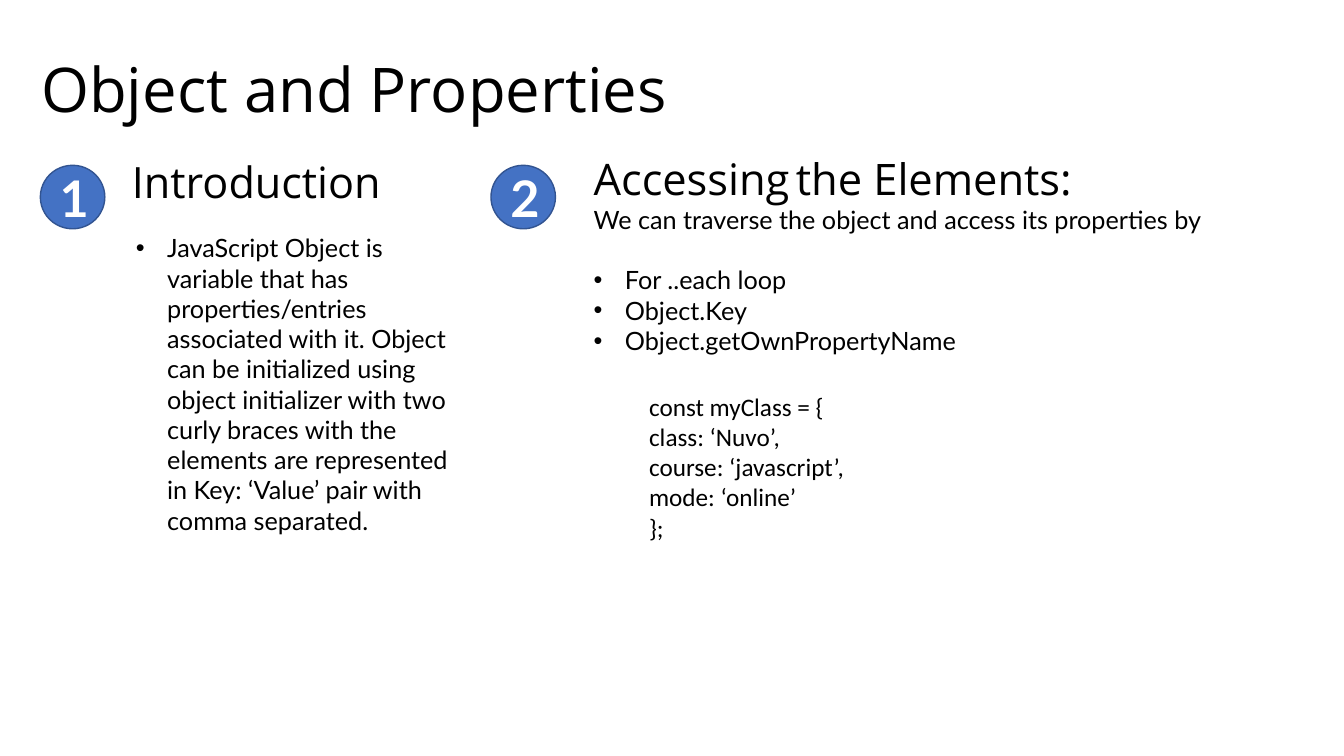
from pptx import Presentation
from pptx import util as u
from pptx.dml import color as col
from pptx.enum import shapes, text as t

HUES = {"ink": "000000", "disc": "4472C4", "rim": "325491", "pale": "FFFFFF"}
HEAD, BODY, CODE = "Open Sans", "Lato", "Calibri"
WIDE, HIGH = u.Inches(13.33), u.Inches(7.5)


def hue(name):
    """Return the named colour."""
    return col.RGBColor.from_string(HUES[name])


def place(box, x, y, w, h):
    """Turn hundredths of the slide, offset from a box, into lengths."""
    return [int(n * side / 100) for n, side in
            ((box[0] + x, WIDE), (box[1] + y, HIGH), (w, WIDE), (h, HIGH))]


def add_run(par, words, font, size, tint="ink", bold=False):
    """Add one styled run to a paragraph."""
    run = par.add_run()
    run.text = words
    run.font.name, run.font.size, run.font.bold = font, u.Pt(size), bold
    run.font.color.rgb = hue(tint)


def add_dot(par):
    """Give a paragraph a hanging round bullet."""
    props = par._p.get_or_add_pPr()
    props.set("marL", str(u.Inches(0.31)))
    props.set("indent", str(-u.Inches(0.31)))
    props.makeelement
    font = props.makeelement(TAG + "buFont", {"typeface": "Arial"})
    mark = props.makeelement(TAG + "buChar", {"char": "•"})
    props.extend([font, mark])


TAG = "{http://schemas.openxmlformats.org/drawingml/2006/main}"


def add_text(slide, spot, lines, mid=False, lead=None):
    """Add a text box of (runs, dotted, space before) lines."""
    frame = slide.shapes.add_textbox(*spot).text_frame
    frame.word_wrap = True
    frame.vertical_anchor = t.MSO_ANCHOR.MIDDLE if mid else t.MSO_ANCHOR.TOP
    for i, (runs, dotted, gap) in enumerate(lines):
        par = frame.add_paragraph() if i else frame.paragraphs[0]
        if lead:
            par.line_spacing = lead
        if gap:
            par.space_before = u.Pt(gap)
        if dotted:
            add_dot(par)
        for run in runs:
            add_run(par, *run)


def add_badge(slide, box, digit):
    """Draw the numbered disc at the corner of a box."""
    disc = slide.shapes.add_shape(shapes.MSO_SHAPE.OVAL, *place(box, 0, 0, 4.8, 8.4))
    disc.shadow.inherit = False
    disc.fill.solid()
    disc.fill.fore_color.rgb = hue("disc")
    disc.line.color.rgb = hue("rim")
    disc.line.width = u.Pt(1)
    frame = disc.text_frame
    frame.vertical_anchor = t.MSO_ANCHOR.MIDDLE
    frame.paragraphs[0].alignment = t.PP_ALIGN.CENTER
    add_run(frame.paragraphs[0], digit, BODY, 36, "pale", True)


def add_title(slide, box):
    """Write the slide title."""
    line = [("Object and Properties", HEAD, 44)]
    add_text(slide, place(box, 0, 0, 86.25, 19.33), [(line, False, 0)], True, 0.9)


def add_intro(slide, box):
    """Build the first section: badge, heading and bullet."""
    add_badge(slide, box, "1")
    head = [("Introduction", HEAD, 30.8)]
    add_text(slide, place(box, 6.08, -0.27, 25.88, 6.53), [(head, False, 0)], True, 0.7)
    note = ("JavaScript Object is variable that has properties/entries associated "
            "with it. Object can be initialized using object initializer with two "
            "curly braces with the elements are represented in Key: ‘Value’ pair "
            "with comma separated.")
    add_text(slide, place(box, 6.38, 8.26, 25.5, 41.73),
             [([(note, BODY, 18)], True, 0)])


def add_access(slide, box):
    """Build the second section: badge, ways of access and code."""
    add_badge(slide, box, "2")
    head = [("Accessing", HEAD, 31), (" ", BODY, 18), ("the Elements:", HEAD, 31)]
    lead = "We can traverse the object and access its properties by"
    ways = ["For ..each loop", "Object.Key", "Object.getOwnPropertyName"]
    lines = [(head, False, 0), ([(lead, BODY, 18)], False, 0)]
    lines += [([(way, BODY, 18)], True, 0 if i else 21.6) for i, way in enumerate(ways)]
    add_text(slide, place(box, 6.91, -2.4, 53.34, 28.53), lines)
    code = ["const myClass = {", "class: ‘Nuvo’,", "course: ‘javascript’,",
            "mode: ‘online’", "};"]
    add_text(slide, place(box, 11.03, 29.2, 25.5, 21.6),
             [([(row, CODE, 18)], False, 0) for row in code])


deck = Presentation()
deck.slide_width, deck.slide_height = WIDE, HIGH
page = deck.slides.add_slide(deck.slide_layouts[6])
add_title(page, (2.33, 2.53))
add_intro(page, (3, 21.87))
add_access(page, (36.53, 21.87))
deck.save("out.pptx")
